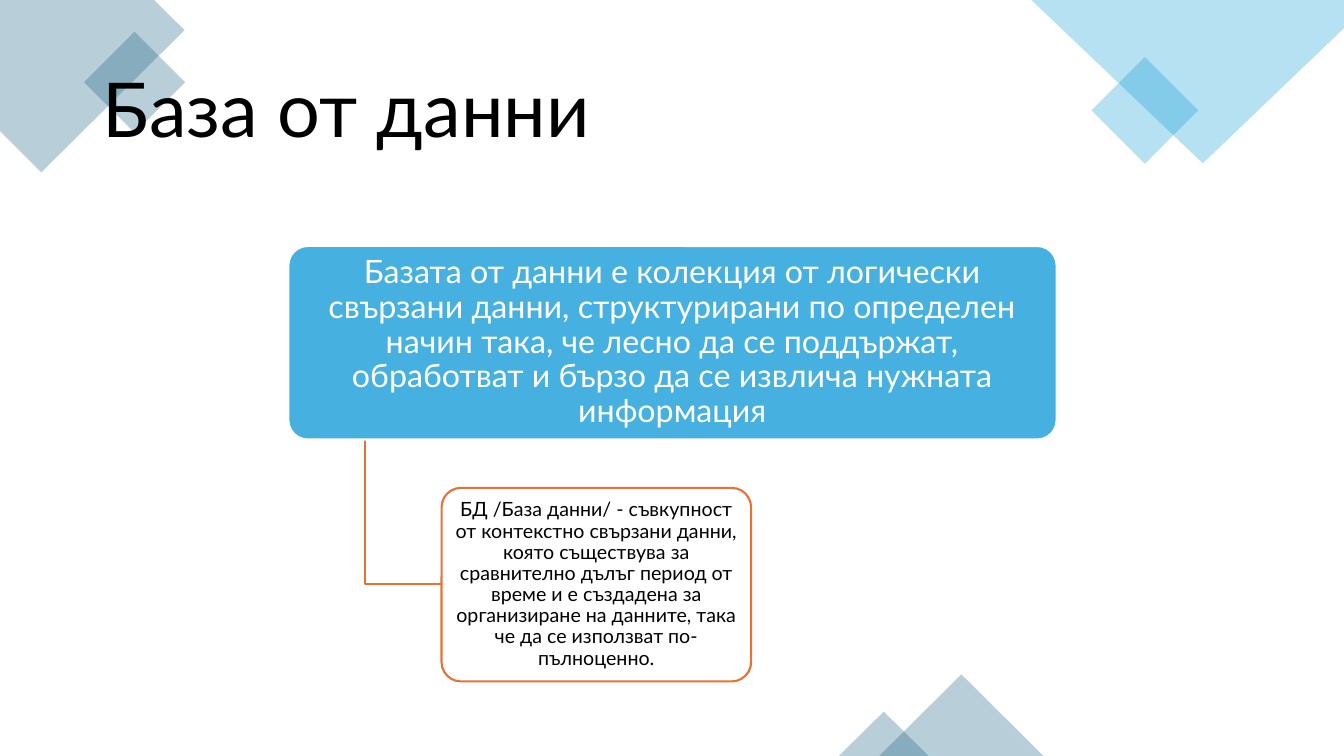
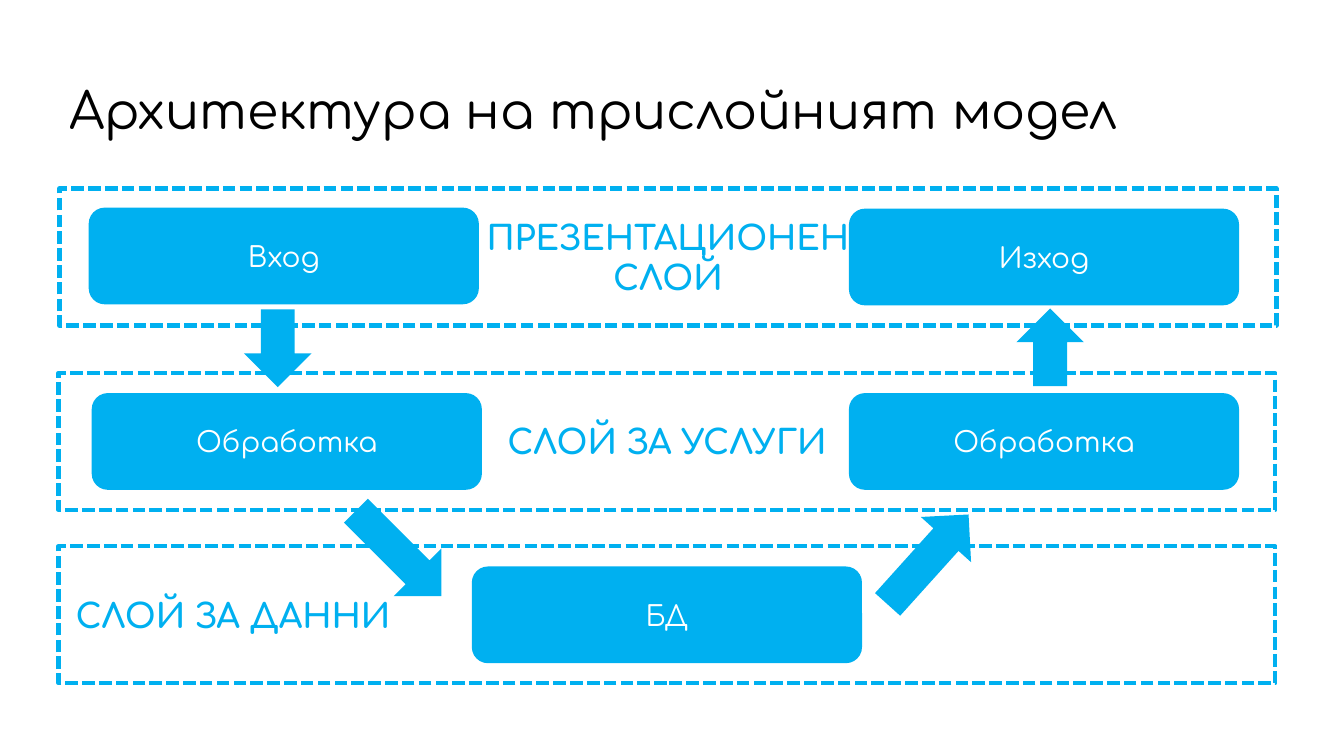
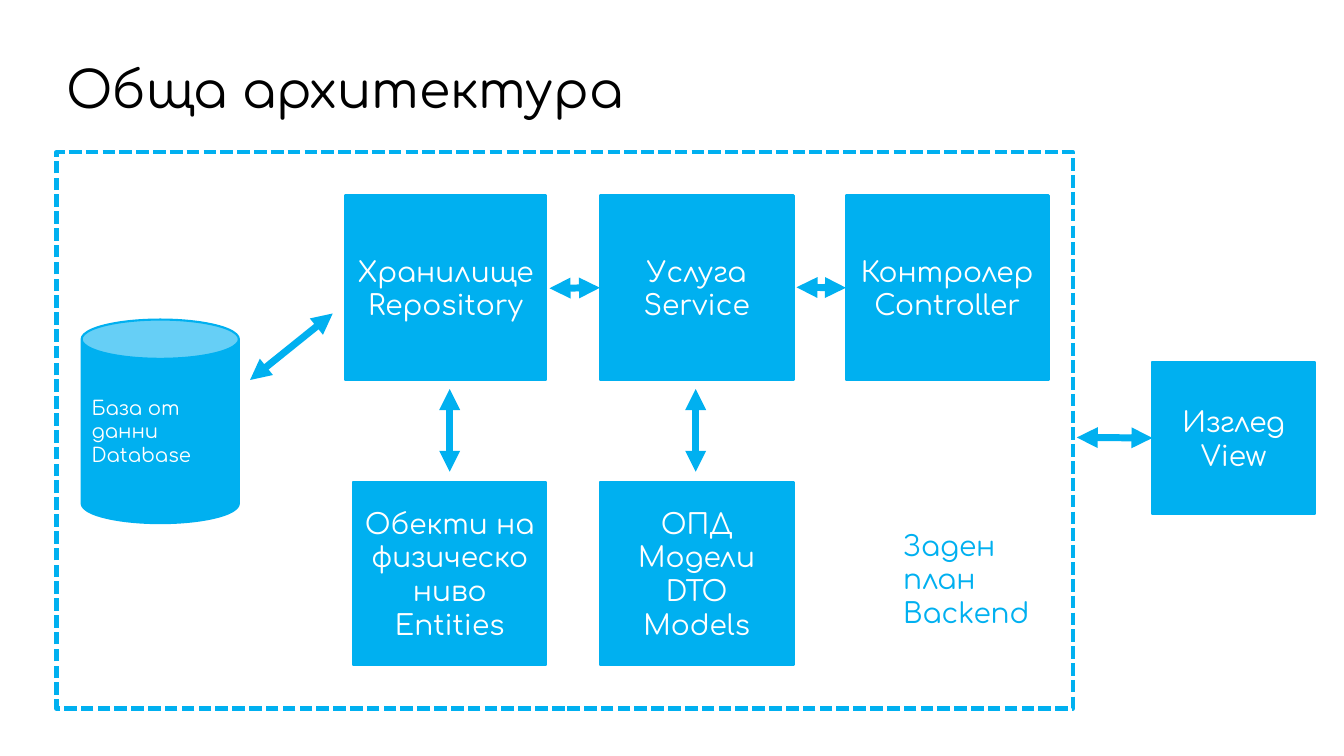
from dataclasses import dataclass, field
from typing import Any, NamedTuple

from pptx import Presentation
from pptx.dml.color import RGBColor
from pptx.enum.dml import MSO_LINE
from pptx.enum.shapes import MSO_CONNECTOR, MSO_SHAPE
from pptx.enum.text import MSO_ANCHOR, PP_ALIGN
from pptx.oxml.ns import qn
from pptx.shapes.autoshape import Shape
from pptx.slide import Slide
from pptx.util import Pt
from lxml.etree import SubElement

PX = 9144
COLORS = {
    "black": "000000",
    "white": "FFFFFF",
    "slate": "156082",
    "azure": "0F9ED5",
    "sky": "46B1E1",
    "orange": "E97132",
    "blue": "00B0F0",
}


class Box(NamedTuple):
    left: int
    top: int
    width: int
    height: int


@dataclass(frozen=True)
class TextStyle:
    font: str
    size: int
    color: str = "white"
    bold: bool = False
    align: PP_ALIGN = PP_ALIGN.CENTER
    spacing: float = 1.0
    frame: dict[str, Any] = field(default_factory=dict)


@dataclass(frozen=True)
class Look:
    fill: str | None = None
    line: str | None = None
    width: float = 1.5
    dash: MSO_LINE | None = None
    opacity: int = 100


class Block(NamedTuple):
    box: Box
    text: str


class Arrow(NamedTuple):
    box: Box
    rotation: int


class Link(NamedTuple):
    start: tuple[int, int]
    end: tuple[int, int]
    target: str = ""


class Card(NamedTuple):
    block: Block
    look: Look
    style: TextStyle


LEFT = PP_ALIGN.LEFT
SOLID = Look("blue")
OUTLINED = Look("blue", "blue")
DASHED = Look(line="blue", width=3, dash=MSO_LINE.SQUARE_DOT)
SLATE_TINT = Look("slate", opacity=30)
AZURE_TINT = Look("azure", opacity=30)
LABEL = TextStyle("Comfortaa", 20)
CAN_LABEL = TextStyle("Comfortaa", 14, align=LEFT)
LAYER = TextStyle("Comfortaa", 24, "blue", bold=True)
DATA_LAYER = TextStyle("Comfortaa", 24, "blue", True, LEFT, frame={"margin_left": 17 * PX})
NOTE = TextStyle("Comfortaa", 20, "blue", align=LEFT, frame={"vertical_anchor": MSO_ANCHOR.TOP})


def color(name: str) -> RGBColor:
    return RGBColor.from_string(COLORS[name])


def apply(target: Any, values: dict[str, Any]) -> None:
    for name, value in values.items():
        setattr(target, name, value)


def emu(lengths: tuple[int, ...]) -> list[int]:
    return [length * PX for length in lengths]


def paint(shape: Shape, look: Look) -> None:
    shape.shadow.inherit = False
    if look.fill:
        shape.fill.solid()
        shape.fill.fore_color.rgb = color(look.fill)
        if look.opacity < 100:
            tint = next(shape.fill._xPr.iter(qn("a:srgbClr")))
            SubElement(tint, qn("a:alpha"), val=str(look.opacity * 1000))
    else:
        shape.fill.background()
    if look.line:
        shape.line.color.rgb = color(look.line)
        shape.line.width = Pt(look.width)
        if look.dash:
            shape.line.dash_style = look.dash
    else:
        shape.line.fill.background()


def write(shape: Shape, text: str, style: TextStyle) -> None:
    frame = shape.text_frame
    apply(frame, {"word_wrap": True, "vertical_anchor": MSO_ANCHOR.MIDDLE, **style.frame})
    frame.text = text
    font_format = {"name": style.font, "size": Pt(style.size), "bold": style.bold}
    for paragraph in frame.paragraphs:
        apply(paragraph, {"alignment": style.align, "line_spacing": style.spacing})
        for run in paragraph.runs:
            apply(run.font, font_format)
            run.font.color.rgb = color(style.color)


def add_shape(slide: Slide, kind: MSO_SHAPE, box: Box, look: Look, rotation: int = 0) -> Shape:
    shape = slide.shapes.add_shape(kind, *emu(box))
    shape.rotation = rotation
    paint(shape, look)
    return shape


def add_block(slide: Slide, kind: MSO_SHAPE, block: Block, look: Look, style: TextStyle) -> Shape:
    shape = add_shape(slide, kind, block.box, look)
    write(shape, block.text, style)
    return shape


def add_text(slide: Slide, block: Block, style: TextStyle) -> None:
    write(slide.shapes.add_textbox(*emu(block.box)), block.text, style)


def add_title(slide: Slide, block: Block, font: str, size: int) -> None:
    add_text(slide, block, TextStyle(font, size, "black", align=LEFT, spacing=0.9))


def add_outline(slide: Slide, points: list[tuple[int, int]], look: Look, close: bool = True) -> None:
    builder = slide.shapes.build_freeform(*points[0], scale=PX)
    builder.add_line_segments(points[1:], close=close)
    paint(builder.convert_to_shape(), look)


def add_link(slide: Slide, link: Link, blocks: dict[str, Shape]) -> None:
    connector = slide.shapes.add_connector(MSO_CONNECTOR.STRAIGHT, *emu(link.start + link.end))
    if link.target:
        connector.end_connect(blocks[link.target], 1)
    connector.line.color.rgb = color("blue")
    connector.line.width = Pt(5)
    line = connector.line._get_or_add_ln()
    for end in ("a:headEnd", "a:tailEnd"):
        SubElement(line, qn(end), type="triangle")
    SubElement(connector._element.spPr, qn("a:effectLst"))


def build_database(slide: Slide) -> None:
    add_outline(slide, [(153, 0), (0, 0), (0, 130), (41, 171), (183, 30)], SLATE_TINT)
    add_shape(slide, MSO_SHAPE.RECTANGLE, Box(98, 46, 71, 71), SLATE_TINT, 315)
    add_shape(slide, MSO_SHAPE.RECTANGLE, Box(1098, 72, 75, 75), AZURE_TINT, 315)
    add_outline(slide, [(1333, 0), (1023, 0), (1193, 162), (1333, 28)], AZURE_TINT)
    for triangle in (Box(872, 669, 163, 81), Box(832, 706, 89, 44)):
        add_shape(slide, MSO_SHAPE.ISOSCELES_TRIANGLE, triangle, SLATE_TINT)
    add_title(slide, Block(Box(92, 40, 1150, 145), "База от данни"), "Lato", 54)
    add_outline(slide, [(362, 436), (362, 579), (438, 579)], Look(line="orange"), close=False)
    cards = [
        Card(
            Block(
                Box(286, 244, 762, 192),
                "Базата от данни е колекция от логически свързани данни, структурирани по "
                "определен начин така, че лесно да се поддържат, обработват и бързо да се "
                "извлича нужната информация",
            ),
            Look("sky", "white"),
            TextStyle("Lato", 23, spacing=0.9),
        ),
        Card(
            Block(
                Box(438, 484, 307, 192),
                "БД /База данни/ - съвкупност от контекстно свързани данни, която съществува "
                "за сравнително дълъг период от време и е създадена за организиране на "
                "данните, така че да се използват по-пълноценно.",
            ),
            Look("white", "orange", opacity=90),
            TextStyle("Lato", 14, "black", spacing=0.9),
        ),
    ]
    insets = {"margin_left": 4, "margin_right": 4, "margin_top": 2, "margin_bottom": 2}
    for card in cards:
        shape = add_block(slide, MSO_SHAPE.ROUNDED_RECTANGLE, *card)
        shape.adjustments[0] = 0.1
        apply(shape.text_frame, {name: inset * PX for name, inset in insets.items()})


def build_layers(slide: Slide) -> None:
    add_title(slide, Block(Box(59, 40, 1207, 145), "Архитектура на трислойният модел"), "Comfortaa", 36)
    layers = [
        (59, 187, "ПРЕЗЕНТАЦИОНЕН\vСЛОЙ", LAYER),
        (58, 370, "СЛОЙ ЗА УСЛУГИ", LAYER),
        (58, 542, "СЛОЙ ЗА ДАННИ", DATA_LAYER),
    ]
    for left, top, text, style in layers:
        add_block(slide, MSO_SHAPE.RECTANGLE, Block(Box(left, top, 1207, 136), text), DASHED, style)
    steps = [
        (88, 206, "Вход"),
        (842, 207, "Изход"),
        (91, 390, "Обработка"),
        (842, 390, "Обработка"),
        (468, 562, "БД"),
    ]
    for left, top, text in steps:
        block = Block(Box(left, top, 387, 96), text)
        add_block(slide, MSO_SHAPE.ROUNDED_RECTANGLE, block, SOLID, LABEL)
    arrows = [
        Arrow(Box(242, 307, 67, 77), 0),
        Arrow(Box(362, 489, 67, 120), 315),
        Arrow(Box(887, 495, 67, 120), 222),
        Arrow(Box(1008, 306, 67, 77), 180),
    ]
    for arrow in arrows:
        add_shape(slide, MSO_SHAPE.DOWN_ARROW, arrow.box, SOLID, arrow.rotation)


def build_overview(slide: Slide) -> None:
    add_shape(slide, MSO_SHAPE.RECTANGLE, Box(56, 151, 1008, 552), DASHED)
    add_title(slide, Block(Box(56, 30, 1156, 122), "Обща архитектура"), "Comfortaa", 36)
    database = Block(Box(81, 317, 156, 202), "База от данни\nDatabase")
    add_block(slide, MSO_SHAPE.CAN, database, OUTLINED, CAN_LABEL)
    components = {
        "repository": Block(Box(342, 194, 200, 183), "Хранилище\nRepository"),
        "service": Block(Box(595, 194, 192, 183), "Услуга\nService"),
        "models": Block(Box(595, 478, 192, 182), "ОПД Модели\nDTO\nModels"),
        "controller": Block(Box(839, 194, 201, 183), "Контролер\nController"),
        "entities": Block(Box(350, 478, 192, 182), "Обекти на физическо ниво\nEntities"),
        "view": Block(Box(1143, 359, 161, 151), "Изглед\nView"),
    }
    blocks = {
        name: add_block(slide, MSO_SHAPE.RECTANGLE, block, OUTLINED, LABEL)
        for name, block in components.items()
    }
    links = [
        Link((248, 377), (330, 311)),
        Link((446, 468), (446, 386)),
        Link((690, 468), (690, 386)),
        Link((545, 286), (594, 288), "service"),
        Link((790, 285), (839, 287), "controller"),
        Link((1068, 434), (1143, 435), "view"),
    ]
    for link in links:
        add_link(slide, link, blocks)
    add_text(slide, Block(Box(886, 519, 154, 111), "Заден план\nBackend"), NOTE)


def main() -> None:
    presentation = Presentation()
    apply(presentation, {"slide_width": 1333 * PX, "slide_height": 750 * PX})
    for build in (build_database, build_layers, build_overview):
        build(presentation.slides.add_slide(presentation.slide_layouts[6]))
    presentation.save("out.pptx")


if __name__ == "__main__":
    main()
